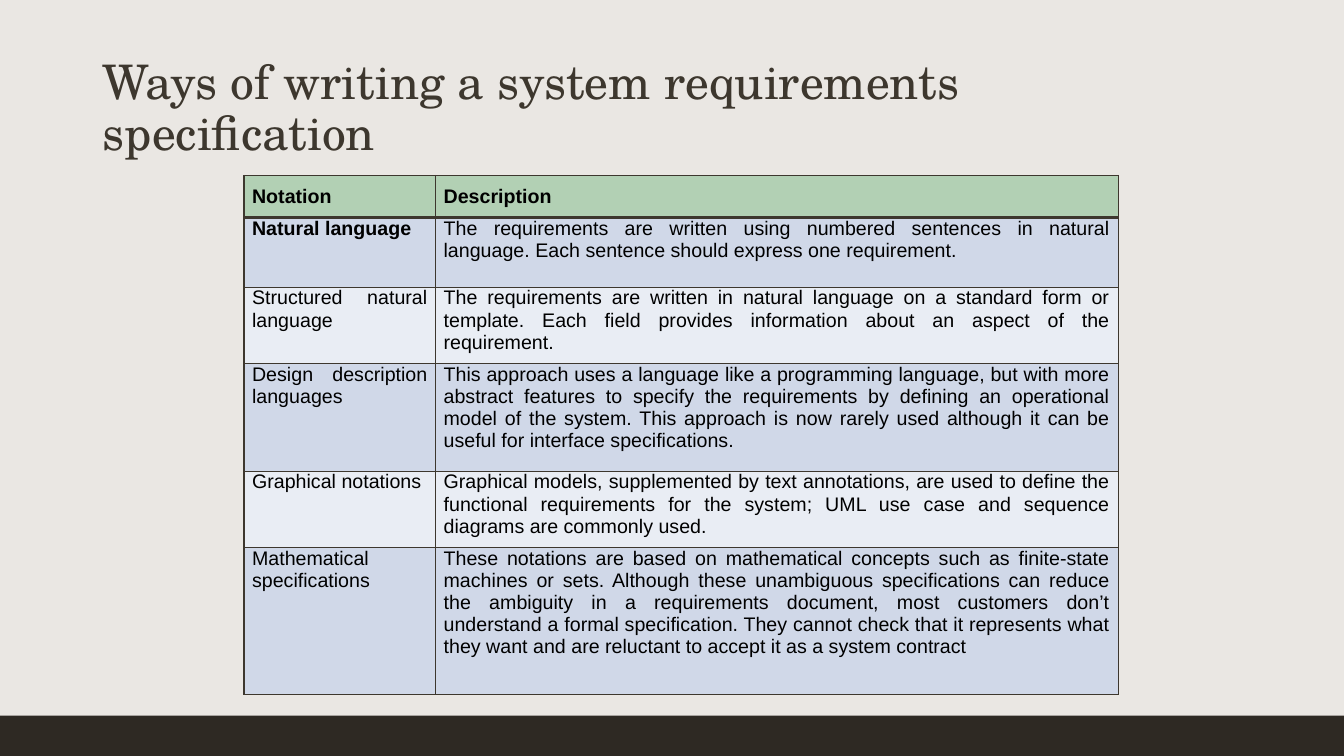
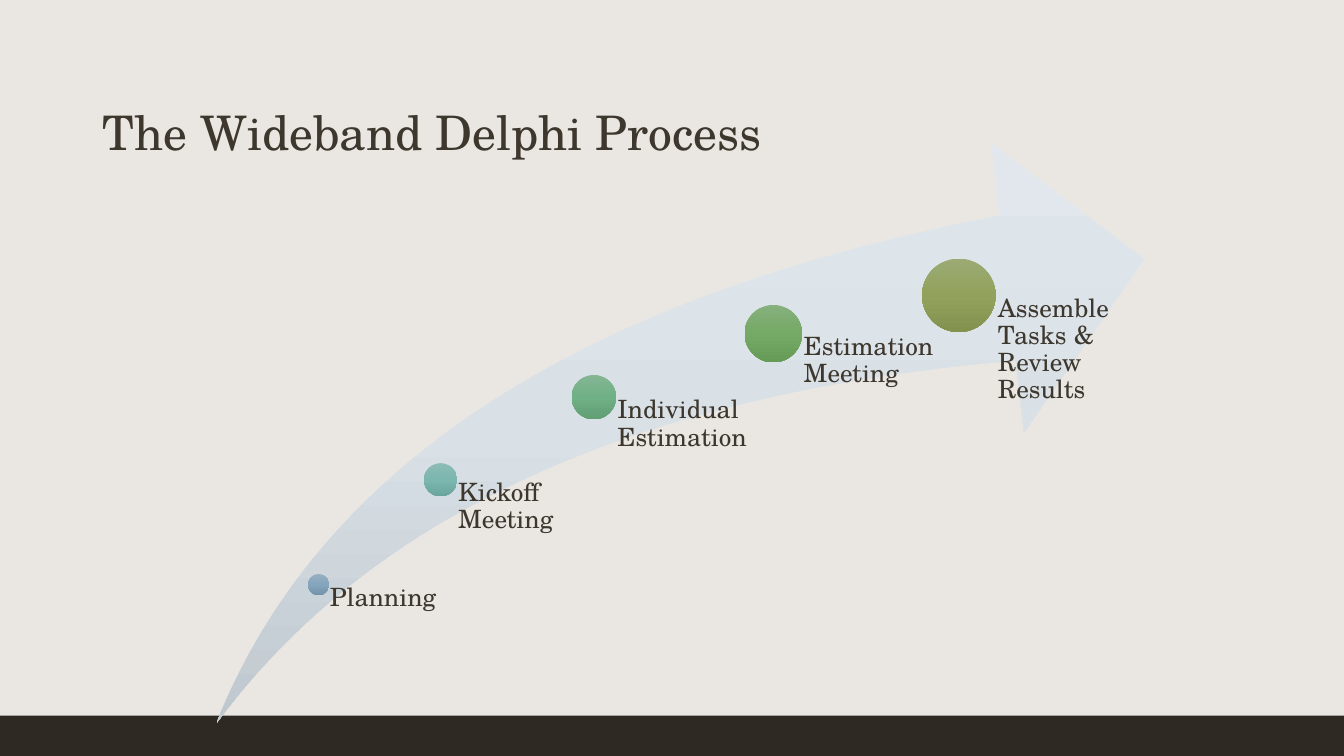
from copy import deepcopy
from pptx import Presentation
from pptx.dml.color import RGBColor
from pptx.enum.shapes import MSO_SHAPE as SHAPE
from pptx.enum.text import MSO_ANCHOR as ANCHOR, MSO_AUTO_SIZE as AUTO, PP_ALIGN as ALIGN
from pptx.oxml import parse_xml
from pptx.oxml.ns import nsdecls, qn
from pptx.util import Inches, Pt

C = {
    "paper": "EAE7E3", "band": "2E2923", "ink": "3D372E", "black": "000000",
    "header": "B2D0B4", "odd": "D0D8E8", "even": "E9EDF4",
}
SERIF, SANS = "TeX Gyre Schola", "Arial"
rgb = RGBColor.from_string

prs = Presentation()
prs.slide_width, prs.slide_height = Inches(13.33), Inches(7.5)
W, H = prs.slide_width, prs.slide_height
master = prs.slide_master
master.background.fill.solid()
master.background.fill.fore_color.rgb = rgb(C["paper"])


def add_titled_slide(title):
    s = prs.slides.add_slide(prs.slide_layouts[5])
    sp = s.shapes.title
    sp.left, sp.top, sp.width, sp.height = [Inches(v) for v in (0.92, 0.4, 11.5, 1.25)]
    tf = sp.text_frame
    tf.text = title
    tf.word_wrap, tf.auto_size = True, AUTO.NONE
    tf.vertical_anchor = ANCHOR.BOTTOM
    tf.margin_right = Inches(0.2)
    p = tf.paragraphs[0]
    p.alignment, p.line_spacing = ALIGN.LEFT, 0.9
    p.font.name, p.font.size = SERIF, Pt(34)
    p.font.color.rgb = rgb(C["ink"])
    return s


def add_gradient_shape(s, kind, box, colors):
    """Add a shape filled from top to bottom with three evenly spaced colours."""
    sp = s.shapes.add_shape(kind, *box)
    sp.shadow.inherit = False
    sp.line.fill.background()
    sp.fill.gradient()
    sp.fill.gradient_angle = 270
    first = sp._element.spPr.find(".//" + qn("a:gs"))
    first.addnext(deepcopy(first))
    for i, (stop, color) in enumerate(zip(sp.fill.gradient_stops, colors)):
        stop.position = i / 2
        stop.color.rgb = rgb(color)
    return sp


# Slide 1: table of notations
s = add_titled_slide("Ways of writing a system requirements specification")

# Bottom band, moved to the master so that every slide shows it
band = s.shapes.add_shape(SHAPE.RECTANGLE, 0, Inches(7.1), W, H - Inches(7.1))
band.shadow.inherit = False
band.fill.solid()
band.fill.fore_color.rgb = rgb(C["band"])
band.line.fill.background()
master.shapes._spTree.insert(2, band._element)

rows = [
    (0.4, "Notation", "Description"),
    (0.69, "Natural language",
     "The requirements are written using numbered sentences in natural language. "
     "Each sentence should express one requirement."),
    (0.69, "Structured natural language",
     "The requirements are written in natural language on a standard form or template. "
     "Each field provides information about an aspect of the requirement."),
    (1.07, "Design description languages",
     "This approach uses a language like a programming language, but with more abstract "
     "features to specify the requirements by defining an operational model of the system. "
     "This approach is now rarely used although it can be useful for interface specifications."),
    (0.69, "Graphical notations",
     "Graphical models, supplemented by text annotations, are used to define the functional "
     "requirements for the system; UML use case and sequence diagrams are commonly used."),
    (1.46, "Mathematical specifications",
     "These notations are based on mathematical concepts such as finite-state machines or sets. "
     "Although these unambiguous specifications can reduce the ambiguity in a requirements "
     "document, most customers don’t understand a formal specification. They cannot check that "
     "it represents what they want and are reluctant to accept it as a system contract"),
]
frame = s.shapes.add_table(len(rows), 2, Inches(2.42), Inches(1.74), Inches(8.67), Inches(5))
table = frame.table
table.first_row = table.horz_banding = False
for column, width in zip(table.columns, (1.9, 6.77)):
    column.width = Inches(width)

for r, (height, *texts) in enumerate(rows):
    table.rows[r].height = Inches(height)
    for c, text in enumerate(texts):
        cell = table.cell(r, c)
        cell.text = text
        cell.margin_left = cell.margin_right = Inches(0.08)
        cell.margin_top = Inches(0 if r else 0.1)
        cell.margin_bottom = Inches(0.1)
        p = cell.text_frame.paragraphs[0]
        p.alignment = ALIGN.JUSTIFY if r or c else ALIGN.LEFT
        p.font.name, p.font.size = SANS, Pt(14)
        p.font.bold = r == 0 or (r, c) == (1, 0)
        p.font.color.rgb = rgb(C["black"])
        # Borders: the rule under the header row is thicker
        for side in "LRTB":
            thick = (r, side) in ((0, "B"), (1, "T"))
            cell._tc.get_or_add_tcPr().append(parse_xml(
                f'<a:ln{side} {nsdecls("a")} w="{Pt(3 if thick else 1)}"><a:solidFill>'
                f'<a:srgbClr val="{C["ink"]}"/></a:solidFill></a:ln{side}>'))
        cell.fill.solid()
        cell.fill.fore_color.rgb = rgb(C["header" if r == 0 else "odd" if r % 2 else "even"])

# Slide 2: steps along a rising arrow
s = add_titled_slide("The Wideband Delphi Process")
left, top, width, height = [Inches(v) for v in (2.15, 1.42, 9.2, 5.75)]
arrow = add_gradient_shape(s, SHAPE.SWOOSH_ARROW, (left, top, width, height),
                           ("E1E7EC", "D9E1E7", "C0C8CF"))
arrow.adjustments[0] = arrow.adjustments[1] = 0.25

# Label, dot centre (x, y), dot diameter, label width, gradient
steps = [
    ("Planning", 3.16, 5.8, 0.21, 1.21, ("96AFC2", "85A5BC", "7493AA")),
    ("Kickoff Meeting", 4.37, 4.76, 0.33, 1.53, ("8DBCB6", "7BB6AF", "6AA59D")),
    ("Individual Estimation", 5.89, 3.94, 0.44, 1.78, ("84B694", "70B085", "619F75")),
    ("Estimation Meeting", 7.67, 3.31, 0.57, 1.84, ("86B07C", "75A966", "669A57")),
    ("Assemble Tasks & Review Results", 9.51, 2.93, 0.73, 1.84, ("9CAA73", "92A25C", "83934F")),
]
for label, x, y, size, label_width, colors in steps:
    x, y, size = Inches(x), Inches(y), Inches(size)
    add_gradient_shape(s, SHAPE.OVAL, (x - size // 2, y - size // 2, size, size), colors)
    # The label starts at the dot's centre and is indented past its edge
    box = s.shapes.add_textbox(x, y, Inches(label_width), top + height - y)
    tf = box.text_frame
    tf.text = label
    tf.word_wrap = True
    tf.margin_left = int(size * 0.53)
    tf.margin_top = tf.margin_right = tf.margin_bottom = 0
    p = tf.paragraphs[0]
    p.line_spacing = 0.9
    p.font.name, p.font.size = SERIF, Pt(18)
    p.font.color.rgb = rgb(C["ink"])

prs.save("out.pptx")
